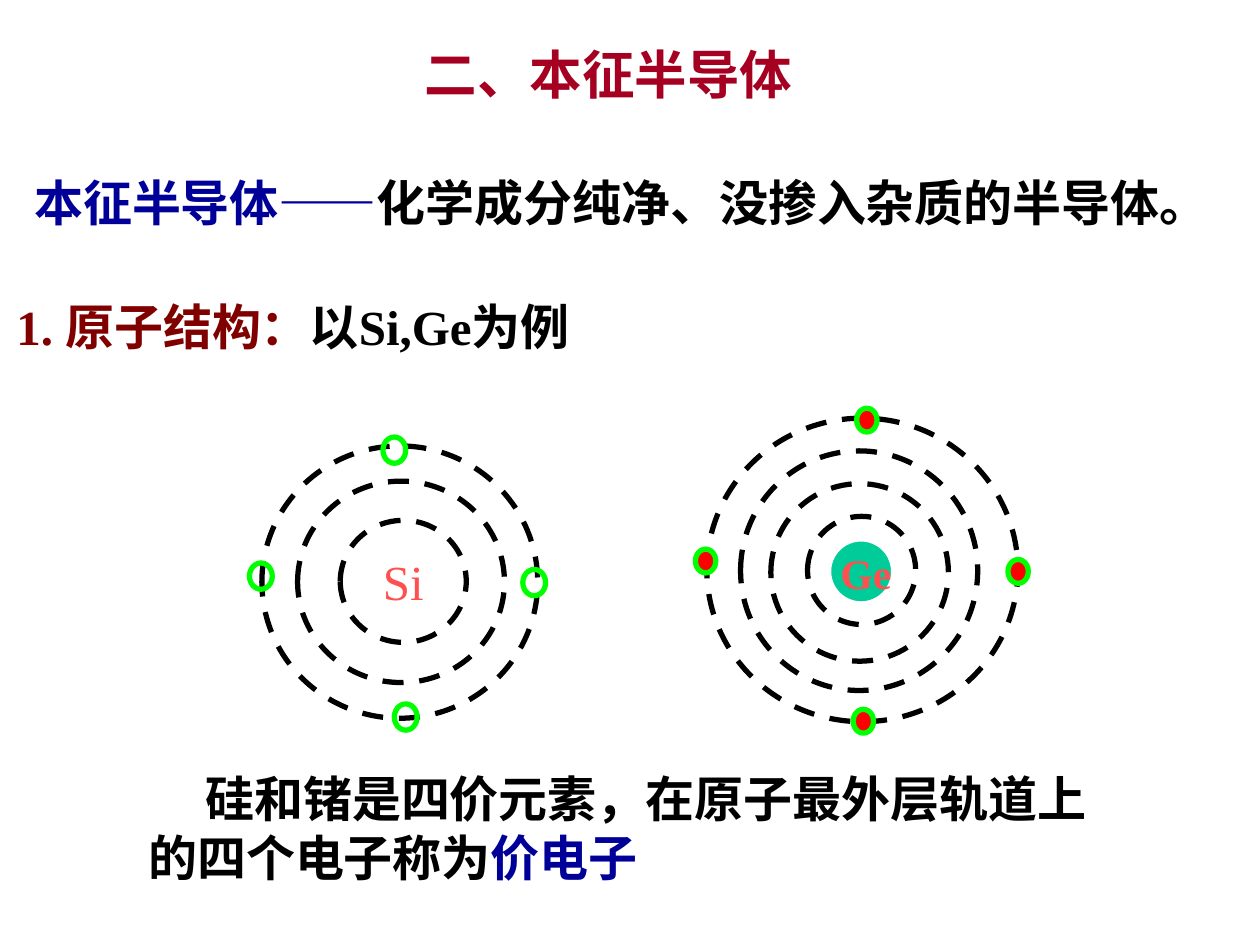
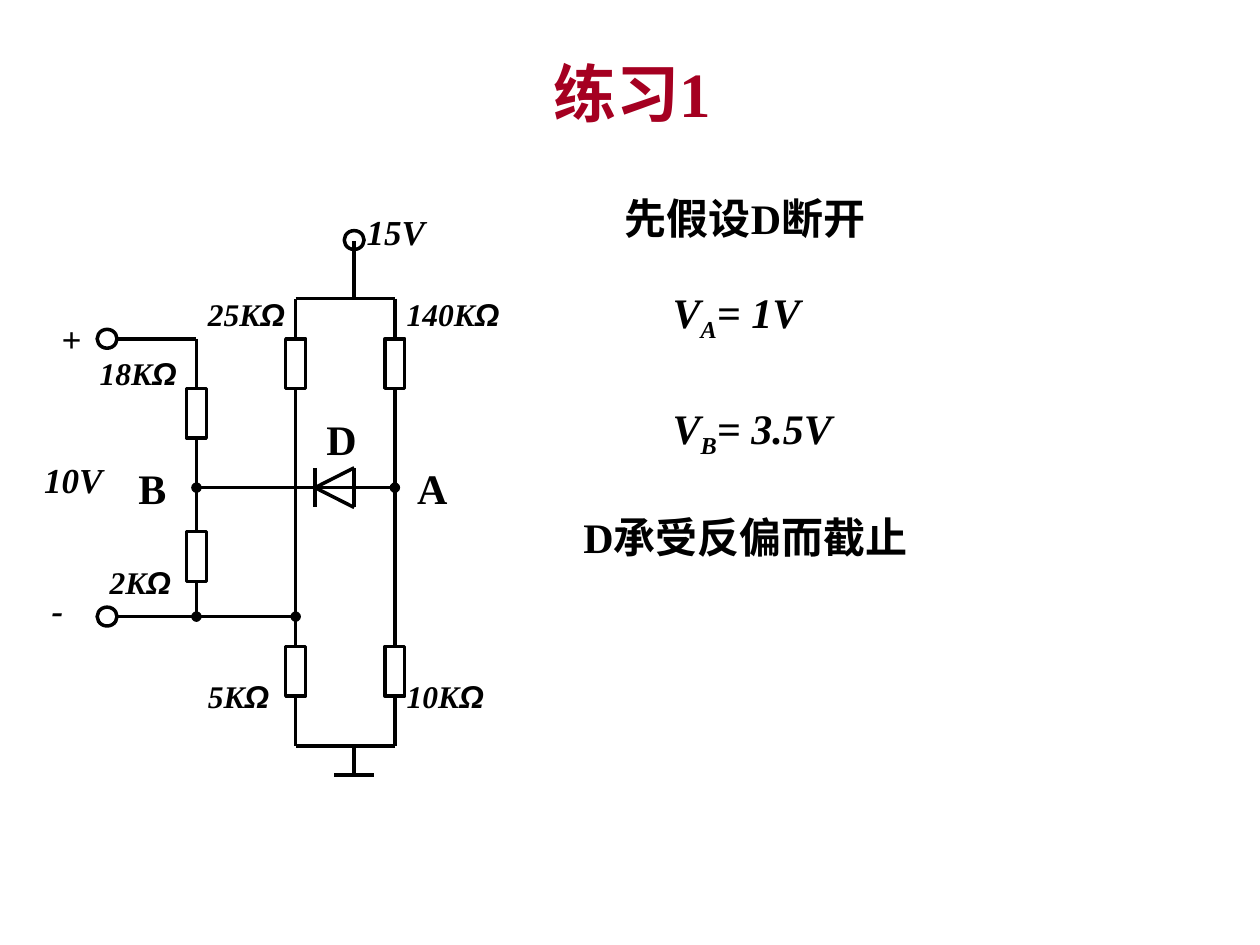
from pptx import Presentation
from pptx import util as u
from pptx.dml import color
from pptx.enum import dml, shapes, text
from pptx.oxml import ns
from lxml import etree

COLORS = {
    "title": "A50021", "heading": "800000", "term": "000099", "ink": "000000",
    "symbol": "FF5050", "nucleus": "00CC99", "orbit_edge": "00FF00",
    "electron": "FF0000", "paper": "FFFFFF",
}
SERIF = "Times New Roman"
PAD = (0.25, 0.13)
BOLD, ITALIC, SUB = "b", "i", "s"


def rgb(name):
    return color.RGBColor.from_string(COLORS[name])


def cm(*lengths):
    return [u.Cm(length) for length in lengths]


def write(slide, box, runs, size, style=BOLD, align=text.PP_ALIGN.LEFT,
          anchor=text.MSO_ANCHOR.TOP, spacing=None, pad=PAD, indent=0):
    area = slide.shapes.add_textbox(*cm(*box))
    frame = area.text_frame
    frame.word_wrap = True
    frame.vertical_anchor = anchor
    frame.margin_left = frame.margin_right = u.Cm(pad[0])
    frame.margin_top = frame.margin_bottom = u.Cm(pad[1])
    paragraph = frame.paragraphs[0]
    paragraph.alignment = align
    if spacing:
        paragraph.line_spacing = spacing
    if indent:
        paragraph._p.get_or_add_pPr().set("indent", str(u.Cm(indent)))
    for words, tone, *extra in runs:
        run = paragraph.add_run()
        run.text = words
        font = run.font
        font.name = extra[0] if extra and extra[0] != SUB else SERIF
        font.size = u.Pt(size)
        font.bold = BOLD in style
        font.italic = ITALIC in style
        font.color.rgb = rgb(tone)
        if SUB in extra:
            run._r.get_or_add_rPr().set("baseline", "-25000")


def title(slide, left, top, words, size):
    write(slide, (left, top, 21.59, 1.9), [(words, "title")], size,
          align=text.PP_ALIGN.CENTER, anchor=text.MSO_ANCHOR.MIDDLE)


def outline(slide, kind, box, edge="ink", weight=2, fill=None, dashed=False):
    figure = slide.shapes.add_shape(kind, *cm(*box))
    figure.shadow.inherit = False
    if fill:
        figure.fill.solid()
        figure.fill.fore_color.rgb = rgb(fill)
    else:
        figure.fill.background()
    figure.line.color.rgb = rgb(edge)
    figure.line.width = u.Pt(weight)
    if dashed:
        figure.line.dash_style = dml.MSO_LINE.DASH


def oval(slide, box, **look):
    outline(slide, shapes.MSO_SHAPE.OVAL, box, **look)


def atom(slide, left, top, symbol, symbol_box, symbol_size, symbol_style,
         orbits, electrons, electron_size, nucleus=None, electron_fill=None):
    def placed(x, y, width, height):
        return left + x, top + y, width, height

    if nucleus:
        oval(slide, placed(*nucleus), edge="paper", weight=1, fill="nucleus")
    for orbit in orbits:
        oval(slide, placed(*orbit), weight=3, dashed=True)
    write(slide, placed(*symbol_box), [(symbol, "symbol")], symbol_size, symbol_style)
    for x, y in electrons:
        oval(slide, placed(x, y, *electron_size), edge="orbit_edge", weight=3,
             fill=electron_fill)


def circuit(slide, left, top):
    divider, inner, outer = 2, 4, 6
    supply, cathode, anode = 5.18, 4.39, 5.18
    plus, minus, middle = 2.18, 7.78, 5.18
    top_bus, bottom_bus, ground = 1.37, 10.39, 10.97
    upper, lower, height = 2.18, 8.38, 1

    def wire(x1, y1, x2, y2, **dots):
        line = slide.shapes.add_connector(
            shapes.MSO_CONNECTOR.STRAIGHT,
            *cm(left + x1, top + y1, left + x2, top + y2))
        line.line.color.rgb = rgb("ink")
        line.line.width = u.Pt(2)
        etree.SubElement(line._element.spPr, ns.qn("a:effectLst"))
        ln = line.line._get_or_add_ln()
        for end in ("headEnd", "tailEnd"):
            if end in dots:
                etree.SubElement(ln, ns.qn("a:" + end), type=dots[end])

    def label(x, y, width, height, runs, size, style):
        write(slide, (left + x, top + y, width, height), runs, size, style)

    for x, y in ((divider, 3.18), (divider, 6.07), (inner, upper),
                 (inner, lower), (outer, upper), (outer, lower)):
        outline(slide, shapes.MSO_SHAPE.RECTANGLE,
                (left + x - 0.2, top + y, 0.4, height))

    for x in (inner, outer):
        wire(x, top_bus, x, upper)
        wire(x, upper + height, x, lower)
        wire(x, lower + height, x, bottom_bus)
    for y in (top_bus, bottom_bus):
        wire(inner, y, outer, y)
    wire(supply, top_bus, supply, 0.2)
    wire(supply, bottom_bus, supply, ground)
    wire(supply - 0.4, ground, supply + 0.4, ground)

    wire(0.4, plus, divider, plus)
    wire(divider, plus, divider, 3.18)
    wire(divider, 4.18, divider, 6.07)
    wire(divider, 7.07, divider, minus, tailEnd="oval")
    wire(0.4, minus, inner, minus, tailEnd="oval")
    wire(divider, middle, outer, middle, headEnd="oval", tailEnd="oval")

    for x in (cathode, anode):
        wire(x, middle - 0.4, x, middle + 0.4)
    for side in (-0.4, 0.4):
        wire(anode, middle + side, cathode, middle)

    for x, y in ((supply - 0.2, 0.19), (0, plus), (0, minus)):
        oval(slide, (left + x, top + y - 0.19, 0.4, 0.38))

    for value, x, y in (("25K", 1.98, 1.17), ("140K", 5.99, 1.17),
                        ("18K", -0.2, 2.36), ("2K", 0, 6.58),
                        ("5K", 1.98, 8.86), ("10K", 5.99, 8.86)):
        label(x, y, 4.4, 1.02, [(value, "ink"), ("Ω", "ink", "Arial")],
              18, BOLD + ITALIC)
    for node, x, y in (("A", 6.2, 4.55), ("B", 0.58, 4.55), ("D", 4.37, 3.56)):
        label(x, y, 1.6, 1.27, [(node, "ink")], 24, BOLD)
    for mark, x, y in (("15V", 5.18, -0.53), ("10V", -1.32, 4.47),
                       ("+", -0.97, 1.63), ("-", -1.17, 7.09)):
        label(x, y, 2.25, 1.12, [(mark, "ink")], 20, BOLD + ITALIC)


def analysis(slide, left, top):
    for words, x, y in (("先假设D断开", 0.84, 0), ("D承受反偏而截止", 0, 6.43)):
        write(slide, (left + x, top + y, 9, 1.27), [(words, "ink")], 24)
    for node, value, y in (("A", "= 1V", 1.88), ("B", "= 3.5V", 4.22)):
        write(slide, (left + 1.8, top + y, 5.2, 1.42),
              [("V", "ink"), (node, "ink", SUB), (value, "ink")], 24, BOLD + ITALIC)


def intrinsic_slide(slide):
    title(slide, 1.47, 0.53, "二、本征半导体", 30)
    write(slide, (0.08, 5.38, 12.42, 1.93),
          [("1. 原子结构：", "heading"), ("以Si,Ge为例", "ink")], 28, spacing=1.4)
    write(slide, (0.69, 3.25, 24.21, 1.42),
          [("本征半导体——", "term"), ("化学成分纯净、没掺入杂质的半导体。", "ink")],
          28, align=text.PP_ALIGN.JUSTIFY, anchor=text.MSO_ANCHOR.MIDDLE,
          spacing=1.2, pad=(0, 0))
    write(slide, (2.74, 15.37, 20.32, 2.64),
          [("硅和锗是四价元素，在原子最外层轨道上的四个电子称为", "ink"),
           ("价电子", "term")], 28, indent=1.15)
    atom(slide, 5.03, 8.81, "Si", (2.44, 2.18, 1.68, 1.45), 28, "",
         orbits=[(1.83, 1.68, 2.54, 2.46), (0.97, 0.89, 4.17, 4.06),
                 (0.25, 0.18, 5.56, 5.49)],
         electrons=[(0, 2.54), (2.92, 5.38), (5.51, 2.67), (2.69, 0)],
         electron_size=(0.46, 0.53))
    atom(slide, 14.02, 8.23, "Ge", (2.67, 2.67, 1.6, 1.27), 24, BOLD,
         orbits=[(2.26, 2.18, 2.18, 2.18), (1.52, 1.52, 3.58, 3.58),
                 (0.91, 0.86, 4.78, 4.83), (0.23, 0.2, 6.27, 6.12)],
         electrons=[(6.3, 3.05), (0, 2.84), (3.25, 0), (3.18, 6.07)],
         electron_size=(0.41, 0.48), nucleus=(2.72, 2.67, 1.24, 1.24),
         electron_fill="electron")


def exercise_slide(slide):
    title(slide, 1.96, 0.91, "练习1", 36)
    circuit(slide, 1.96, 4.65)
    analysis(slide, 11.51, 3.76)


def main():
    deck = Presentation()
    deck.slide_width, deck.slide_height = cm(25.4, 19.05)
    for build in (intrinsic_slide, exercise_slide):
        build(deck.slides.add_slide(deck.slide_layouts[6]))
    deck.save("out.pptx")


if __name__ == "__main__":
    main()
